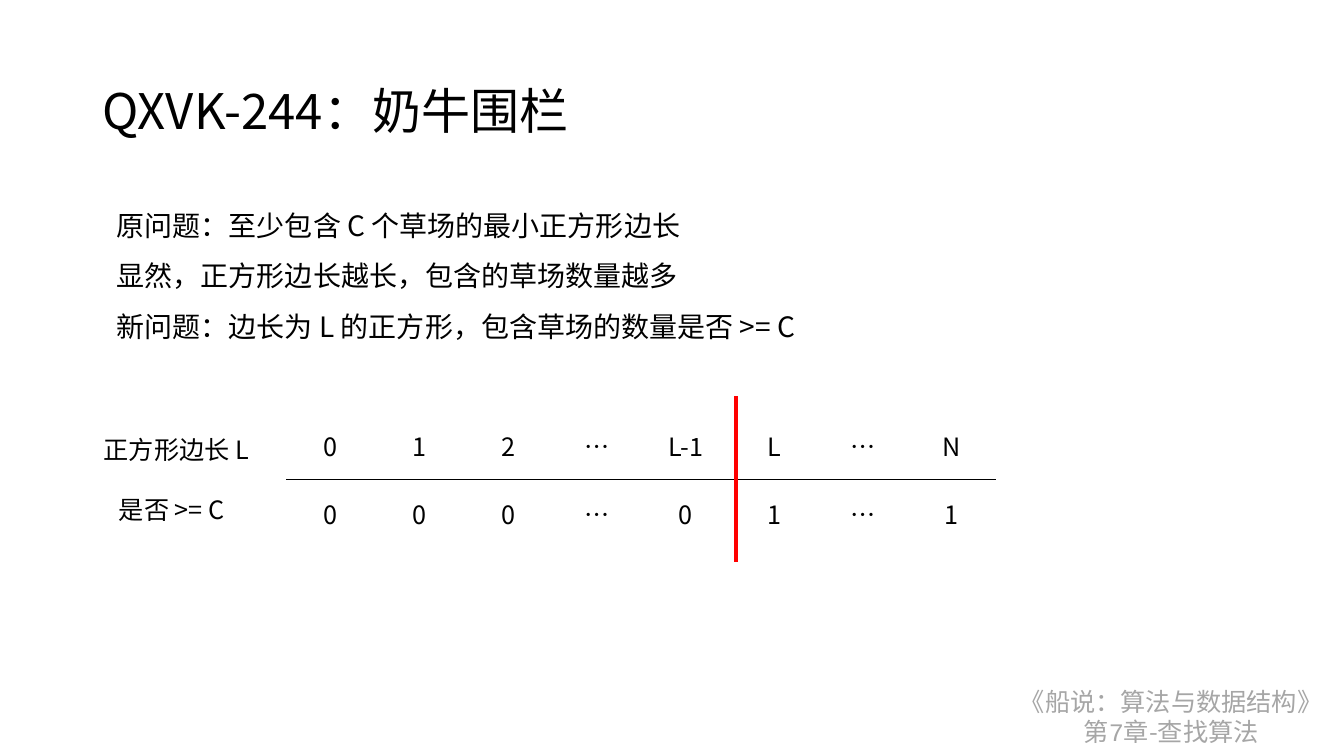
from typing import NamedTuple

from lxml import etree
from pptx import Presentation
from pptx.dml.color import RGBColor
from pptx.enum.lang import MSO_LANGUAGE_ID
from pptx.enum.shapes import MSO_CONNECTOR
from pptx.enum.text import MSO_ANCHOR, PP_ALIGN
from pptx.oxml import parse_xml
from pptx.oxml.ns import nsdecls, qn
from pptx.util import Pt

CJK, MONO = "Noto Sans CJK SC", "Courier New"
BLACK, GREY, RED = "000000", "A6A6A6", "FF0000"


class Label(NamedTuple):
    """A text box; each paragraph is a list of (text, font) runs."""
    left: float
    top: float
    width: float
    height: float
    paragraphs: list[list[tuple[str, str]]]
    size: float = 18
    color: str = BLACK
    align: PP_ALIGN = PP_ALIGN.LEFT
    spacing: float = 1.0


LABELS = [
    Label(717.8, 486.7, 237.6, 51,
          [[("《船说：算法与数据结构》", CJK)],
           [("第", CJK), ("7", MONO), ("章-查找算法", CJK)]],
          color=GREY, align=PP_ALIGN.CENTER),
    Label(76.3, 133.2, 509.8, 112.3,
          [[("原问题：至少包含 C 个草场的最小正方形边长", CJK)],
           [("显然，正方形边长越长，包含的草场数量越多", CJK)],
           [("新问题：边长为 L 的正方形，包含草场的数量是否 >= C", CJK)]],
          size=20, spacing=1.5),
    Label(67, 306.7, 118.8, 28.8, [[("正方形边长 L", CJK)]]),
    Label(77.8, 349.9, 96.5, 28.8, [[("是否 >= C", CJK)]]),
]
SIDE_LENGTHS = ["0", "1", "2", "…", "L-1", "L", "…", "N"]
ENOUGH_FIELDS = ["0", "0", "0", "…", "0", "1", "…", "1"]
COLUMN_WIDTH, ROW_HEIGHT = 63.4, 48


def rgb(color: str) -> RGBColor:
    """Turn a hex string into a colour."""
    return RGBColor.from_string(color)


def add_run(paragraph, text: str, size: float, color: str = BLACK,
            font: str = CJK) -> None:
    """Append a run whose Latin and East Asian fonts are the same."""
    run = paragraph.add_run()
    run.text = text
    run.font.size = Pt(size)
    run.font.name = font
    run.font.color.rgb = rgb(color)
    run.font.language_id = MSO_LANGUAGE_ID.SIMPLIFIED_CHINESE
    latin = run.font._element.find(qn("a:latin"))
    latin.addnext(parse_xml(f'<a:ea {nsdecls("a")} typeface="{font}"/>'))


def add_label(slide, label: Label) -> None:
    """Draw one wrapped text box."""
    box = slide.shapes.add_textbox(Pt(label.left), Pt(label.top),
                                   Pt(label.width), Pt(label.height))
    frame = box.text_frame
    frame.word_wrap = True
    for index, runs in enumerate(label.paragraphs):
        paragraph = frame.add_paragraph() if index else frame.paragraphs[0]
        paragraph.alignment = label.align
        paragraph.line_spacing = label.spacing
        for text, font in runs:
            add_run(paragraph, text, label.size, label.color, font)


def add_title(slide, text: str) -> None:
    """Place and format the title placeholder."""
    title = slide.shapes.title
    title.left, title.top = Pt(66), Pt(28.8)
    title.width, title.height = Pt(828), Pt(104.4)
    title.text_frame.vertical_anchor = MSO_ANCHOR.MIDDLE
    paragraph = title.text_frame.paragraphs[0]
    paragraph.alignment = PP_ALIGN.LEFT
    paragraph.line_spacing = 0.9
    add_run(paragraph, text, 35)


def set_borders(cell, visible: str) -> None:
    """Show only the named cell border."""
    properties = cell._tc.get_or_add_tcPr()
    for index, side in enumerate(("lnL", "lnR", "lnT", "lnB")):
        fill = (f'<a:solidFill><a:srgbClr val="{BLACK}"/></a:solidFill>'
                if side == visible else "<a:noFill/>")
        properties.insert(index, parse_xml(
            f'<a:{side} {nsdecls("a")} w="{Pt(1)}">{fill}</a:{side}>'))


def add_search_table(slide, rows: list[list[str]]) -> None:
    """Draw the side lengths above their answers, split by a line."""
    columns = len(rows[0])
    table = slide.shapes.add_table(
        len(rows), columns, Pt(204.5), Pt(294.5),
        Pt(COLUMN_WIDTH * columns), Pt(ROW_HEIGHT * len(rows))).table
    table.first_row = table.horz_banding = False
    for row_index, values in enumerate(rows):
        table.rows[row_index].height = Pt(ROW_HEIGHT)
        for column, value in enumerate(values):
            table.columns[column].width = Pt(COLUMN_WIDTH)
            cell = table.cell(row_index, column)
            cell.fill.background()
            cell.vertical_anchor = MSO_ANCHOR.MIDDLE
            paragraph = cell.text_frame.paragraphs[0]
            paragraph.alignment = PP_ALIGN.CENTER
            add_run(paragraph, value, 18)
            set_borders(cell, "lnT" if row_index else "lnB")


def add_divider(slide, x: float, top: float, bottom: float) -> None:
    """Draw the red line between the 0 answers and the 1 answers."""
    line = slide.shapes.add_connector(MSO_CONNECTOR.STRAIGHT,
                                      Pt(x), Pt(top), Pt(x), Pt(bottom))
    line.line.color.rgb = rgb(RED)
    line.line.width = Pt(3)
    etree.SubElement(line._element.spPr, qn("a:effectLst"))


def main() -> None:
    """Build and save the slide."""
    deck = Presentation()
    deck.slide_width, deck.slide_height = Pt(960), Pt(540)
    slide = deck.slides.add_slide(deck.slide_layouts.get_by_name("Title Only"))
    add_title(slide, "QXVK-244：奶牛围栏")
    for label in LABELS:
        add_label(slide, label)
    add_search_table(slide, [SIDE_LENGTHS, ENOUGH_FIELDS])
    add_divider(slide, 525.6, 283, 401.8)
    deck.save("out.pptx")


main()
